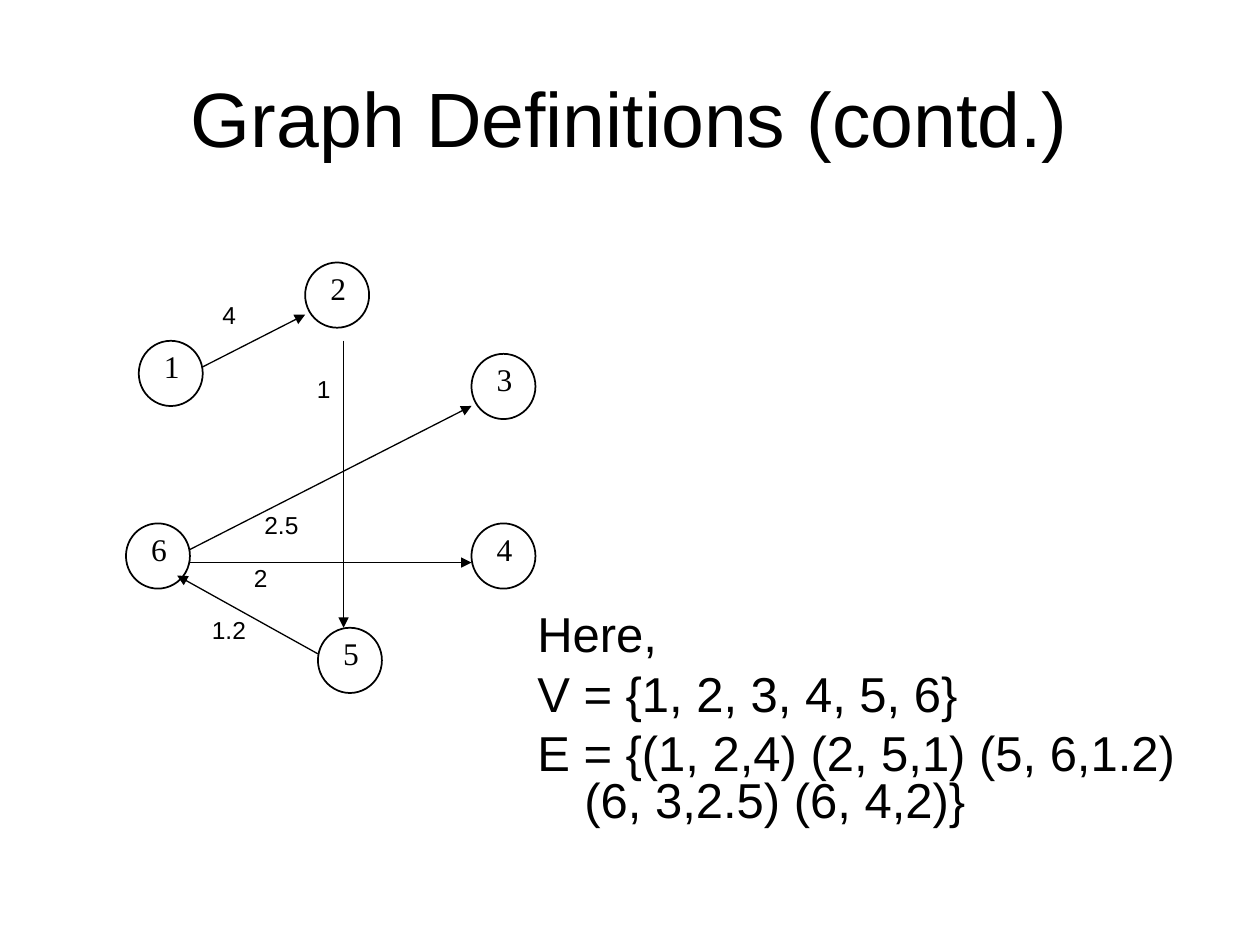
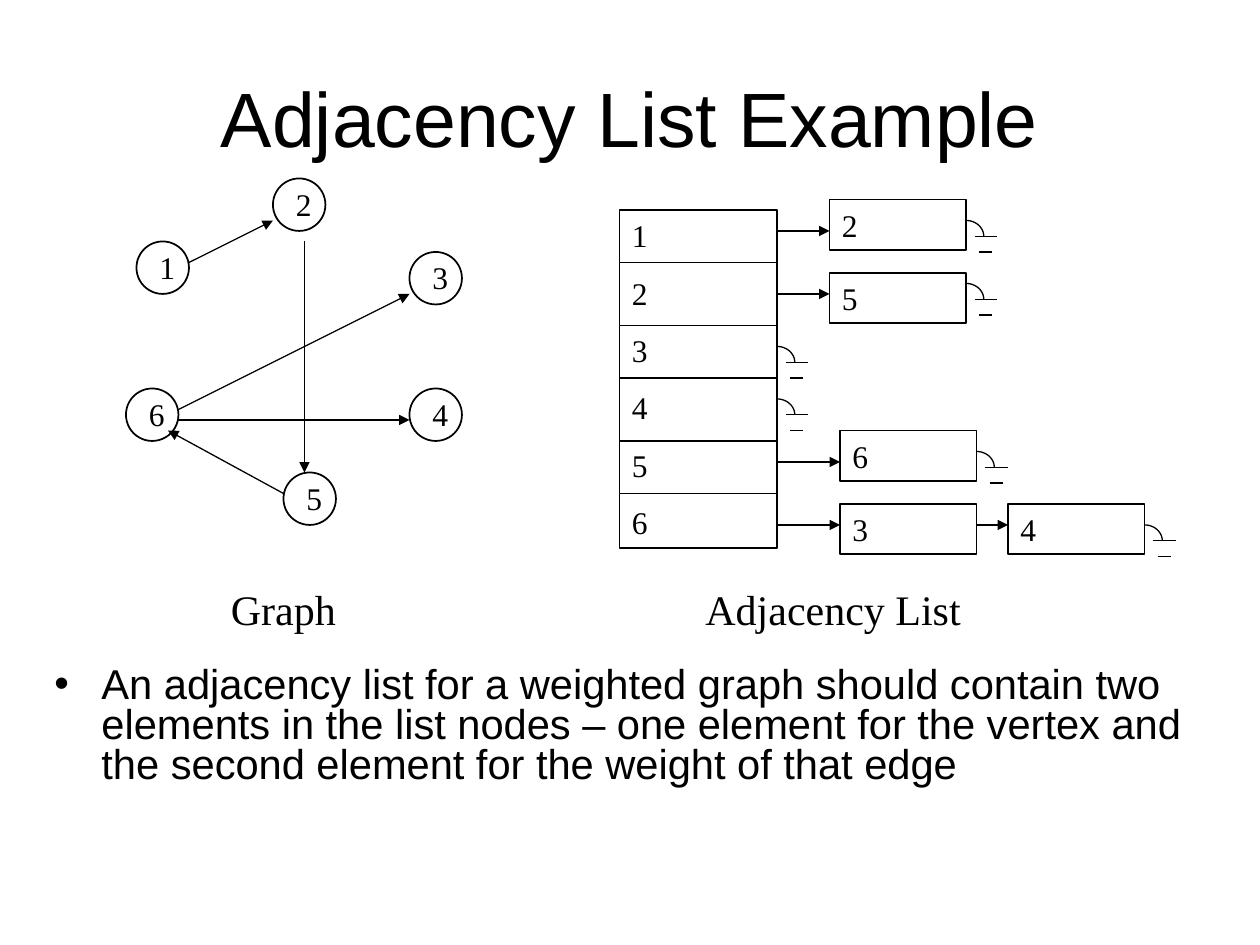
from math import cos, pi, sin

from lxml import etree
from pptx import Presentation
from pptx.dml.color import RGBColor
from pptx.enum.shapes import MSO_CONNECTOR, MSO_SHAPE
from pptx.enum.text import MSO_ANCHOR, PP_ALIGN
from pptx.oxml.ns import qn
from pptx.util import Cm, Pt

BLACK = RGBColor(0, 0, 0)
SANS, SERIF = "Arial", "Times New Roman"
OVAL, RECT = MSO_SHAPE.OVAL, MSO_SHAPE.RECTANGLE
STRAIGHT = MSO_CONNECTOR.STRAIGHT
TOP, MIDDLE = MSO_ANCHOR.TOP, MSO_ANCHOR.MIDDLE
LEFT, CENTER = PP_ALIGN.LEFT, PP_ALIGN.CENTER

# Every position on the slides is in steps of a fine square grid.
STEP = 2.54 / 12
TITLE_BOX = (6, 3.6, 108, 15)

# The graph is laid out in its own 32 x 33 grid and stretched to fit.
GRAPH_SIZE = (32, 33)
NODE_SIZE = 5
NODES = {"1": (1, 6), "2": (14, 0), "5": (15, 28),
         "6": (0, 20), "4": (27, 20), "3": (27, 7)}
EDGES = [((6, 8), (14, 4)), ((17, 6), (17, 28)), ((5, 22), (27, 11)),
         ((5, 23), (27, 23)), ((15, 30), (4, 24))]

WEIGHTS = [("1.2", 19, 58), ("2", 23, 53), ("1", 29, 35),
           ("2.5", 24, 48), ("4", 20, 28)]
DEFINITION = ["Here,",
              "V = {1, 2, 3, 4, 5, 6}",
              "E = {(1, 2,4) (2, 5,1) (5, 6,1.2) (6, 3,2.5) (6, 4,2)}"]

VERTEX_BOX = (59, 20, 15, 32.2)
DIVIDERS = [25, 31, 36, 42, 47]
CELL_SIZE = (13, 4.8)
# vertex, height of its arrows, height of the end mark, its cells (text, x, y)
LISTS = [("1", 22, 21, [("2", 79, 19)]),
         ("2", 28, 27, [("5", 79, 26)]),
         ("3", None, 33, []),
         ("4", None, 38, []),
         ("5", 44, 43, [("6", 80, 41)]),
         ("6", 50, 50, [("3", 80, 48), ("4", 96, 48)])]
CAPTIONS = [("Graph", (20.8, 55, 14, 6)),
            ("Adjacency List", (66, 55, 28, 6))]
REMARK = ("An adjacency list for a weighted graph should contain two elements "
          "in the list nodes – one element for the vertex and the second "
          "element for the weight of that edge")


def grid(*steps):
    return [Cm(n * STEP) for n in steps]


def write(sp, text, size=18, font=SERIF, align=LEFT, anchor=TOP, before=0,
          spacing=None, hanging=0, bullet=None):
    """Fill a shape with text; a list gives one paragraph per item."""
    tf = sp.text_frame
    tf.word_wrap = True
    tf.vertical_anchor = anchor
    for i, line in enumerate([text] if isinstance(text, str) else text):
        p = tf.add_paragraph() if i else tf.paragraphs[0]
        p.alignment = align
        p.space_before = Pt(before)
        if spacing:
            p.line_spacing = spacing
        pPr = p._p.get_or_add_pPr()
        if hanging:
            pPr.set("marL", str(hanging))
            pPr.set("indent", str(-hanging))
        if bullet:
            etree.SubElement(pPr, qn("a:buFont"), typeface=font)
            etree.SubElement(pPr, qn("a:buChar"), char=bullet)
        r = p.add_run()
        r.text = line
        r.font.size, r.font.name = Pt(size), font
        r.font.color.rgb = BLACK


def add_text(shapes, text, box, **fmt):
    write(shapes.add_textbox(*grid(*box)), text, **fmt)


def outline(sp, width):
    sp.shadow.inherit = False
    sp.fill.background()
    sp.line.color.rgb = BLACK
    sp.line.width = Pt(width)


def add_outlined(shapes, kind, box):
    sp = shapes.add_shape(kind, *grid(*box))
    outline(sp, 1)
    return sp


def add_line(shapes, start, end, arrow=False):
    line = shapes.add_connector(STRAIGHT, *grid(*start, *end))
    line.line.color.rgb = BLACK
    line.line.width = Pt(0.75)
    spPr = line._element.spPr
    if arrow:
        etree.SubElement(spPr.find(qn("a:ln")), qn("a:tailEnd"),
                         type="triangle")
    etree.SubElement(spPr, qn("a:effectLst"))


def add_end_mark(shapes, x, y):
    """Draw the sign for an empty pointer: a quarter arc over two bars."""
    angles = [pi / 2 * i / 12 for i in range(13)]
    points = [grid(x + 1.7 * sin(a), y + 1.5 * (1 - cos(a))) for a in angles]
    arc = shapes.build_freeform(*points[0])
    arc.add_line_segments(points[1:], close=False)
    outline(arc.convert_to_shape(), 0.75)
    add_line(shapes, (x + 0.85, y + 1.5), (x + 3, y + 1.5))
    add_line(shapes, (x + 1.25, y + 3), (x + 2.5, y + 3))


def add_graph(s, left, top, width, height):
    shapes = s.shapes.add_group_shape().shapes
    sx, sy = width / GRAPH_SIZE[0], height / GRAPH_SIZE[1]

    def place(x, y):
        return left + x * sx, top + y * sy

    for name, (x, y) in NODES.items():
        size = (NODE_SIZE * sx, NODE_SIZE * sy)
        add_outlined(shapes, OVAL, (*place(x, y), *size))
        add_text(shapes, name, (*place(x + 1, y), 4 * sx, 4.8))
    for start, end in EDGES:
        add_line(shapes, place(*start), place(*end), arrow=True)


def add_adjacency_list(s):
    shapes = s.shapes.add_group_shape().shapes
    left, _, width, _ = VERTEX_BOX
    right = left + width
    vertices = add_outlined(shapes, RECT, VERTEX_BOX)
    write(vertices, [row[0] for row in LISTS], before=11.2)
    for y in DIVIDERS:
        add_line(shapes, (left, y), (right, y))
    for _, arrow_y, mark_y, cells in LISTS:
        end = right
        for text, x, y in cells:
            cell = add_outlined(shapes, RECT, (x, y, *CELL_SIZE))
            write(cell, text, before=11.2)
            add_line(shapes, (end, arrow_y), (x, arrow_y), arrow=True)
            end = x + CELL_SIZE[0]
        add_end_mark(shapes, end, mark_y)


def add_slide(prs, title):
    s = prs.slides.add_slide(prs.slide_layouts[5])
    sp = s.shapes.title
    sp.left, sp.top, sp.width, sp.height = grid(*TITLE_BOX)
    write(sp, title, size=44, font=SANS, align=CENTER, anchor=MIDDLE)
    return s


def main():
    prs = Presentation()
    prs.slide_width, prs.slide_height = Cm(25.4), Cm(19.05)
    body = dict(font=SANS, before=7, spacing=0.8, hanging=Cm(0.95))

    s = add_slide(prs, "Graph Definitions (contd.)")
    add_graph(s, 12, 25, 39, 41)
    for weight, x, y in WEIGHTS:
        add_text(s.shapes, weight, (x, y, 6, 4.1),
                 size=14, font=SANS, before=8.8)
    add_text(s.shapes, DEFINITION, (50, 58, 65, 23), size=28, **body)

    s = add_slide(prs, "Adjacency List Example")
    add_graph(s, 12, 17, *GRAPH_SIZE)
    add_adjacency_list(s)
    for caption, box in CAPTIONS:
        add_text(s.shapes, caption, box, size=24)
    add_text(s.shapes, REMARK, (4, 63, 113, 15),
             size=23.8, bullet="•", **body)

    prs.save("out.pptx")


if __name__ == "__main__":
    main()
